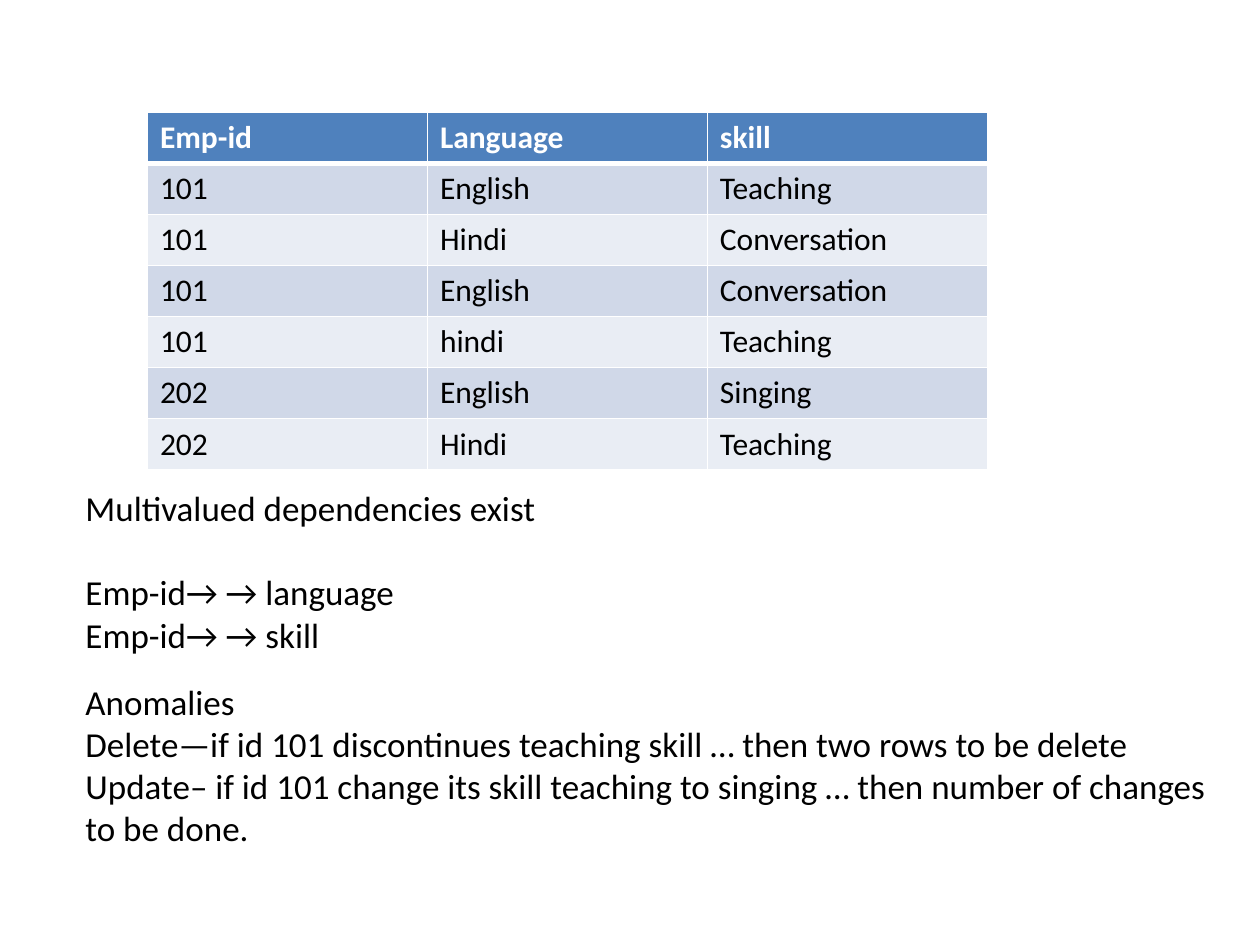
from dataclasses import dataclass

from lxml import etree
from pptx import Presentation, util as u
from pptx.dml.color import RGBColor
from pptx.enum import text
from pptx.oxml import ns


@dataclass(frozen=True)
class Theme:
    font: str = "Calibri"
    ink: str = "000000"
    paper: str = "FFFFFF"
    header: str = "4F81BD"
    bands: tuple[str, str] = ("D0D8E8", "E9EDF4")
    table_size: float = 18
    note_size: float = 20
    thin: float = 1
    thick: float = 3


@dataclass(frozen=True)
class Line:
    words: str
    space_before: float = 0


@dataclass(frozen=True)
class Note:
    top: float
    width: float
    lines: tuple[Line, ...]


THEME = Theme()
WIDTH, HEIGHT = u.Inches(10), u.Inches(7.5)
TABLE_LEFT, TABLE_TOP = u.Inches(1.17), u.Inches(0.89)
COLUMN, ROW = int(WIDTH * 2 / 9), u.Inches(0.405)
NOTE_LEFT, NOTE_HEIGHT = u.Inches(0.58), u.Inches(1.45)
BLANK_LAYOUT = 6

SKILLS = (
    ("Emp-id", "Language", "skill"),
    ("101", "English", "Teaching"),
    ("101", "Hindi", "Conversation"),
    ("101", "English", "Conversation"),
    ("101", "hindi", "Teaching"),
    ("202", "English", "Singing"),
    ("202", "Hindi", "Teaching"),
)
NOTES = (
    Note(3.81, 7.42, (
        Line("Multivalued dependencies exist"),
        Line("Emp-id→ → language", space_before=24.4),
        Line("Emp-id→ → skill"),
    )),
    Note(5.35, 9.33, (
        Line("Anomalies"),
        Line("Delete—if id 101 discontinues teaching skill … then two rows to be delete"),
        Line("Update– if id 101 change its skill teaching to singing … "
             "then number of changes to be done."),
    )),
)


def write(para, words: str, *, size: float, color: str = THEME.ink,
          bold: bool = False, space_before: float = 0) -> None:
    para.space_before = u.Pt(space_before)
    span = para.add_run()
    span.text = words
    span.font.name = THEME.font
    span.font.size = u.Pt(size)
    span.font.bold = bold
    span.font.color.rgb = RGBColor.from_string(color)


def add_borders(cell, *, top: float, bottom: float) -> None:
    properties = cell._tc.get_or_add_tcPr()
    sides = {"lnL": THEME.thin, "lnR": THEME.thin, "lnT": top, "lnB": bottom}
    for side, width in sides.items():
        line = etree.SubElement(properties, ns.qn(f"a:{side}"), w=str(u.Pt(width)))
        fill = etree.SubElement(line, ns.qn("a:solidFill"))
        etree.SubElement(fill, ns.qn("a:srgbClr"), val=THEME.paper)


def add_skill_table(page, rows: tuple[tuple[str, ...], ...]) -> None:
    count = len(rows[0])
    table = page.shapes.add_table(len(rows), count, TABLE_LEFT, TABLE_TOP,
                                  COLUMN * count, ROW * len(rows)).table
    for column in table.columns:
        column.width = COLUMN
    for index, row in enumerate(rows):
        table.rows[index].height = ROW
        is_header = index == 0
        fill = THEME.header if is_header else THEME.bands[(index - 1) % 2]
        for position, words in enumerate(row):
            cell = table.cell(index, position)
            add_borders(cell, top=THEME.thick if index == 1 else THEME.thin,
                        bottom=THEME.thick if is_header else THEME.thin)
            cell.fill.solid()
            cell.fill.fore_color.rgb = RGBColor.from_string(fill)
            write(cell.text_frame.paragraphs[0], words, size=THEME.table_size,
                  color=THEME.paper if is_header else THEME.ink, bold=is_header)


def add_note(page, note: Note) -> None:
    box = page.shapes.add_textbox(NOTE_LEFT, u.Inches(note.top),
                                  u.Inches(note.width), NOTE_HEIGHT)
    frame = box.text_frame
    frame.word_wrap = True
    frame.auto_size = text.MSO_AUTO_SIZE.SHAPE_TO_FIT_TEXT
    for index, line in enumerate(note.lines):
        para = frame.add_paragraph() if index else frame.paragraphs[0]
        write(para, line.words, size=THEME.note_size, space_before=line.space_before)


def main() -> None:
    deck = Presentation()
    deck.slide_width, deck.slide_height = WIDTH, HEIGHT
    page = deck.slides.add_slide(deck.slide_layouts[BLANK_LAYOUT])
    add_skill_table(page, SKILLS)
    for note in NOTES:
        add_note(page, note)
    deck.save("out.pptx")


if __name__ == "__main__":
    main()
